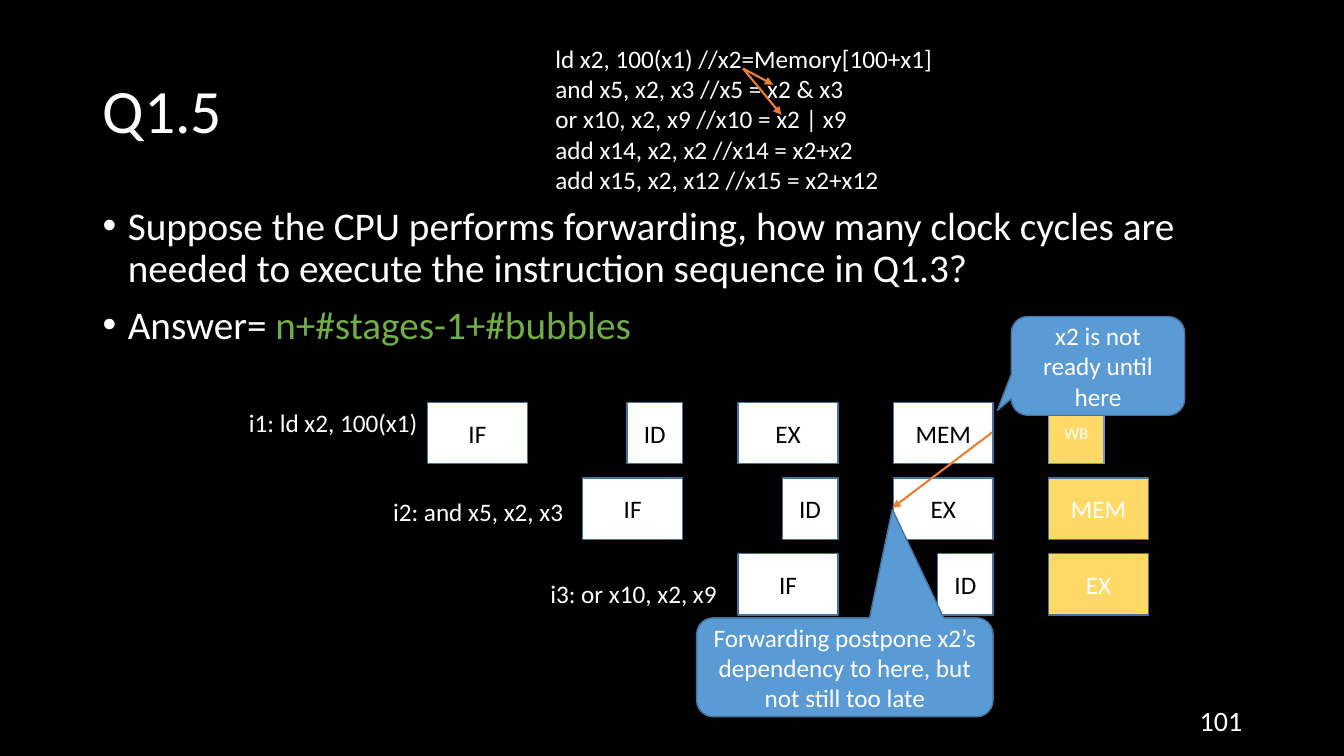
from pptx import Presentation
from pptx.dml.color import RGBColor
from pptx.enum.shapes import MSO_CONNECTOR as CONN, MSO_SHAPE as SHAPE
from pptx.enum.text import MSO_ANCHOR as ANCHOR, PP_ALIGN as ALIGN
from pptx.oxml.ns import qn
from pptx.util import Inches, Pt
from lxml.etree import SubElement

COLORS = {
    "black": "000000", "white": "FFFFFF", "green": "70AD47",
    "orange": "ED7D31", "blue": "5B9BD5", "edge": "43739E", "yellow": "FFD966",
}


def rgb(name):
    return RGBColor.from_string(COLORS[name])


class SlideBuilder:
    font = "Calibri"

    def __init__(self, prs):
        self.s = prs.slides.add_slide(prs.slide_layouts[6])
        fill = self.s.background.fill
        fill.solid()
        fill.fore_color.rgb = rgb("black")

    def style(self, r, size, color):
        r.font.name, r.font.size = self.font, Pt(size)
        r.font.color.rgb = rgb(color)

    def set_text(self, tf, paragraphs, size, color, align=ALIGN.LEFT):
        """Each paragraph is a list of (text, color) runs or a plain string."""
        for i, runs in enumerate(paragraphs):
            p = tf.paragraphs[0] if i == 0 else tf.add_paragraph()
            p.alignment = align
            for text, c in [(runs, color)] if isinstance(runs, str) else runs:
                r = p.add_run()
                r.text = text
                self.style(r, size, c)

    def text(self, box, paragraphs, size=18, align=ALIGN.LEFT,
             anchor=ANCHOR.TOP, wrap=True):
        tf = self.s.shapes.add_textbox(*map(Inches, box)).text_frame
        tf.word_wrap, tf.vertical_anchor = wrap, anchor
        self.set_text(tf, paragraphs, size, "white", align)
        return tf

    def bullets(self, box, paragraphs, size):
        tf = self.text(box, paragraphs, size)
        for i, p in enumerate(tf.paragraphs):
            pPr = p._p.get_or_add_pPr()
            pPr.set("marL", str(Inches(0.25)))
            pPr.set("indent", str(-Inches(0.25)))
            SubElement(pPr, qn("a:buFont"), typeface="Arial")
            SubElement(pPr, qn("a:buChar"), char="•")
            p.line_spacing = 0.9
            if i:
                p.space_before = Pt(10)

    def shape(self, kind, box, text, fill, line="edge", color="white", size=18):
        sp = self.s.shapes.add_shape(kind, *map(Inches, box))
        sp.shadow.inherit = False
        sp.fill.solid()
        sp.fill.fore_color.rgb = rgb(fill)
        sp.line.color.rgb = rgb(line)
        sp.line.width = Pt(1)
        tf = sp.text_frame
        tf.word_wrap, tf.vertical_anchor = True, ANCHOR.MIDDLE
        self.set_text(tf, [text], size, color, ALIGN.CENTER)
        return sp

    def callout(self, box, text, tip):
        sp = self.shape(SHAPE.ROUNDED_RECTANGULAR_CALLOUT, box, text, "blue")
        sp.adjustments[0], sp.adjustments[1] = tip

    def arrow(self, start, end):
        c = self.s.shapes.add_connector(CONN.STRAIGHT, *map(Inches, start + end))
        c.line.color.rgb = rgb("orange")
        c.line.width = Pt(1.5)
        spPr = c._element.spPr
        SubElement(spPr.get_or_add_ln(), qn("a:tailEnd"), type="triangle")
        SubElement(spPr, qn("a:effectLst"))


def draw_pipeline(b):
    left, top, col_step, row_step = 4.24, 3.99, 1.54, 0.75
    wide, narrow, height = 0.99, 0.55, 0.61
    # Label, its position, then the stages; those in column 4 are yellow
    rows = [
        ("i1: ld x2, 100(x1)", (2.37, 3.99), ["IF", "ID", "EX", "MEM", "WB"]),
        ("i2: and x5, x2, x3", (3.8, 4.87), ["IF", "ID", "EX", "MEM"]),
        ("i3: or x10, x2, x9", (5.36, 5.69), ["IF", "ID", "EX"]),
    ]
    for row, (label, pos, stages) in enumerate(rows):
        b.text(pos + (1.93, 0.4), [label], wrap=False)
        for col, stage in enumerate(stages, start=row):
            x, y = left + col * col_step, top + row * row_step
            width = narrow if stage in ("ID", "WB") else wide
            if stage == "ID":  # second half of the cycle
                x += wide - narrow
            late = col == 4
            b.shape(SHAPE.RECTANGLE, (x, y, width, height), stage,
                    "yellow" if late else "white",
                    line="blue" if stage == "WB" else "edge",
                    color="white" if late else "black",
                    size=12 if stage == "WB" else 18)


def main():
    prs = Presentation()
    prs.slide_width, prs.slide_height = Inches(13.33), Inches(7.5)
    b = SlideBuilder(prs)

    # Title, question and page number
    title = b.text((0.92, 0.4, 11.5, 1.45), ["Q1.5"], 44, anchor=ANCHOR.MIDDLE)
    title.paragraphs[0].line_spacing = 0.9
    b.bullets((0.92, 2, 11.5, 4.76), [
        "Suppose the CPU performs forwarding, how many clock cycles are "
        "needed to execute the instruction sequence in Q1.3?",
        [("Answer=", "white"), (" n+#stages-1+#bubbles", "green")],
    ], 28)
    b.text((9.42, 6.95, 3, 0.4), ["101"], 20, ALIGN.RIGHT, ANCHOR.MIDDLE)

    # Instruction sequence with its dependencies
    b.text((5.41, 0.38, 6.67, 1.62), [
        "ld x2, 100(x1) //x2=Memory[100+x1]",
        "and x5, x2, x3 //x5 = x2 & x3",
        "or x10, x2, x9 //x10 = x2 | x9",
        "add x14, x2, x2 //x14 = x2+x2",
        "add x15, x2, x12 //x15 = x2+x12",
    ])
    for end in ((7.67, 0.84), (7.75, 1.14)):
        b.arrow((7.37, 0.68), end)

    # Pipeline with the forwarding path
    draw_pipeline(b)
    b.arrow((9.84, 4.29), (8.85, 5.04))

    # Callouts
    b.callout((10.03, 3.14, 1.72, 0.98), "x2 is not ready until here",
              (-0.58, 0.45))
    b.callout((6.91, 6.13, 2.94, 0.98),
              "Forwarding postpone x2’s dependency to here, but not still too late",
              (0.16, -1.6))

    prs.save("out.pptx")


if __name__ == "__main__":
    main()
